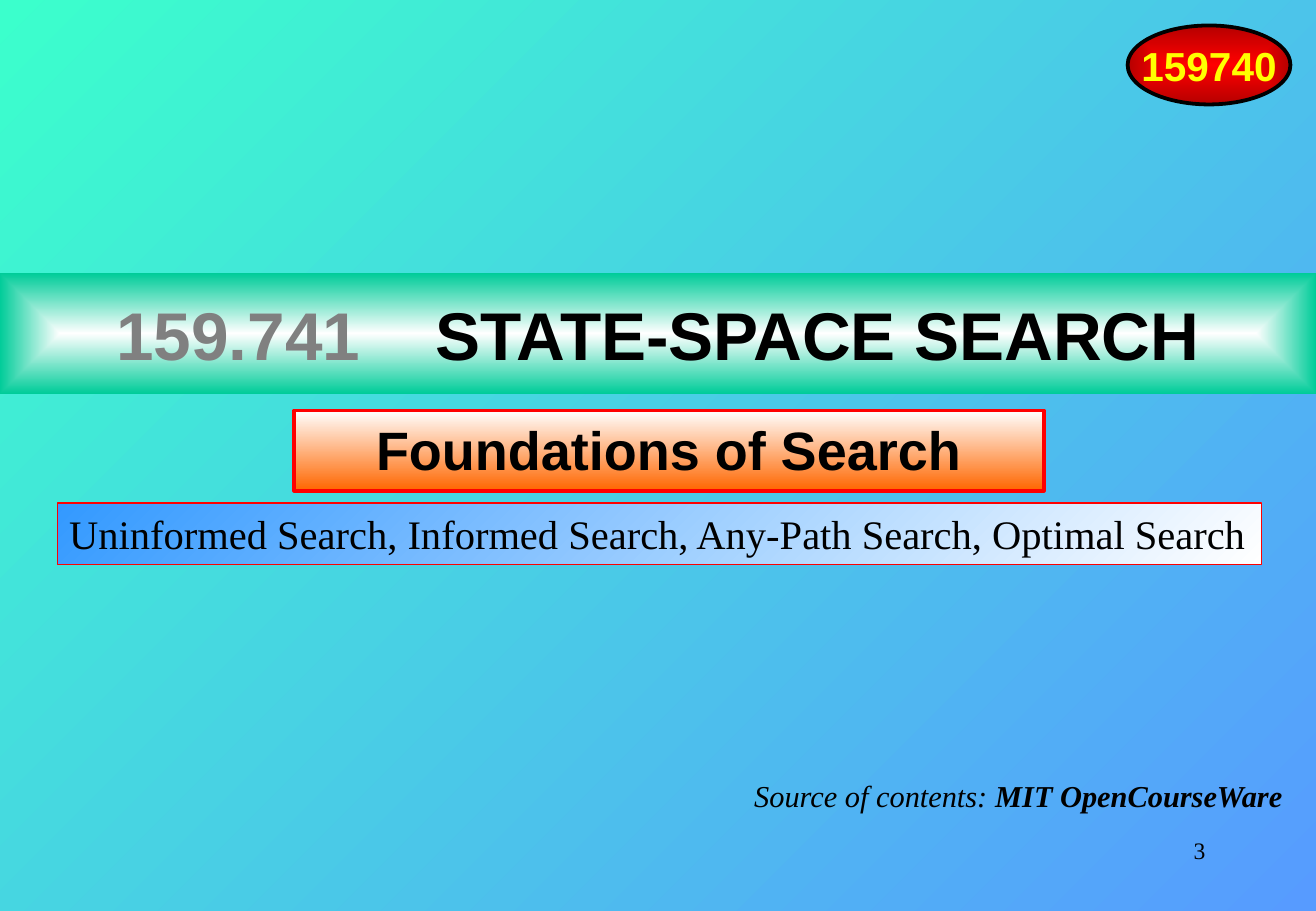
from dataclasses import dataclass
from typing import Any, Optional

from lxml.etree import SubElement
from pptx import Presentation
from pptx.dml.color import RGBColor
from pptx.enum.shapes import MSO_SHAPE
from pptx.enum.text import MSO_ANCHOR, MSO_AUTO_SIZE, PP_ALIGN
from pptx.oxml.ns import qn
from pptx.util import Inches, Pt

HUES = {
    "mint": "3BFFCC", "sky": "579BFF", "white": "FFFFFF", "green": "00CC99",
    "orange": "FF6600", "red": "FF0000", "wine": "B60000", "blue": "3399FF",
    "black": "000000", "gray": "808080", "yellow": "FFFF00",
}
SANS = "Arial"
SERIF = "Times New Roman"


@dataclass(frozen=True)
class Span:
    text: str
    hue: str = "black"
    bold: bool = False
    slant: bool = False
    space: float = 0


@dataclass(frozen=True)
class Blend:
    start: str
    end: str
    angle: Optional[int] = None


@dataclass(frozen=True)
class Panel:
    kind: Any
    place: tuple[float, float, float, float]
    spans: tuple[Span, ...]
    size: int
    font: str
    align: PP_ALIGN = PP_ALIGN.CENTER
    blend: Optional[Blend] = None
    edge: Optional[tuple[str, float]] = None
    middle: bool = False
    wrap: bool = True


def tint(name: str) -> RGBColor:
    return RGBColor.from_string(HUES[name])


def shade(fill: Any, root: Any, blend: Blend) -> None:
    fill.gradient()
    for stop, name in zip(fill.gradient_stops, (blend.start, blend.end)):
        stop.color.rgb = tint(name)
    if blend.angle is not None:
        fill.gradient_angle = 360 - blend.angle
        return
    grad = root.find(".//" + qn("a:gradFill"))
    grad.remove(grad.find(qn("a:lin")))
    route = SubElement(grad, qn("a:path"), {"path": "shape"})
    SubElement(route, qn("a:fillToRect"), {side: "50000" for side in "ltrb"})


def write(shape: Any, panel: Panel) -> None:
    frame = shape.text_frame
    frame.word_wrap = panel.wrap
    frame.auto_size = MSO_AUTO_SIZE.NONE
    frame.vertical_anchor = MSO_ANCHOR.MIDDLE if panel.middle else MSO_ANCHOR.TOP
    line = frame.paragraphs[0]
    line.alignment = panel.align
    line.space_before = Pt(0)
    for span in panel.spans:
        run = line.add_run()
        run.text = span.text
        font = run.font
        font.name, font.size = panel.font, Pt(panel.size)
        font.bold, font.italic = span.bold, span.slant
        font.color.rgb = tint(span.hue)
        if span.space:
            run._r.get_or_add_rPr().set("spc", str(round(span.space * 100)))


def draw(slide: Any, panel: Panel) -> None:
    box = [Inches(side) for side in panel.place]
    if panel.kind == "text":
        shape = slide.shapes.add_textbox(*box)
    elif panel.kind in ("title", "body"):
        shape = slide.placeholders[0 if panel.kind == "title" else 1]
        shape.left, shape.top, shape.width, shape.height = box
    else:
        shape = slide.shapes.add_shape(panel.kind, *box)
        shape.shadow.inherit = False
    if panel.blend:
        shade(shape.fill, shape._element, panel.blend)
    if panel.edge:
        shape.line.color.rgb = tint(panel.edge[0])
        shape.line.width = Pt(panel.edge[1])
    write(shape, panel)


PANELS = (
    Panel("text", (7.76, 6.83, 2.26, 0.5), (Span("3"),), 14, SERIF, PP_ALIGN.RIGHT),
    Panel("title", (0, 2.25, 10.83, 0.99),
          (Span("159.741", "gray", True), Span(" ", bold=True, space=33.4),
           Span("STATE-SPACE SEARCH", bold=True)),
          40, SANS, blend=Blend("white", "green"), middle=True),
    Panel("body", (2.42, 3.38, 6.17, 0.66), (Span("Foundations of Search", bold=True),),
          32, SANS, blend=Blend("white", "orange", 90), edge=("red", 2.25)),
    Panel(MSO_SHAPE.OVAL, (9.28, 0.21, 1.34, 0.65), (Span("159740", "yellow", True),),
          24, SANS, blend=Blend("red", "wine"), edge=("black", 2.25),
          middle=True, wrap=False),
    Panel(MSO_SHAPE.RECTANGLE, (0.47, 4.14, 9.91, 0.51),
          (Span("Uninformed Search, Informed Search, Any-Path Search, Optimal Search"),),
          24, SERIF, PP_ALIGN.LEFT, Blend("blue", "white", 45), ("red", 0.75), wrap=False),
    Panel("text", (6.09, 6.35, 4.58, 0.4),
          (Span("Source of contents: ", slant=True),
           Span("MIT OpenCourseWare", bold=True, slant=True)), 18, SERIF, wrap=False),
)


def main() -> None:
    deck = Presentation()
    deck.slide_width, deck.slide_height = Inches(10.83), Inches(7.5)
    slide = deck.slides.add_slide(deck.slide_layouts[0])
    shade(slide.background.fill, slide._element, Blend("mint", "sky", 45))
    for panel in PANELS:
        draw(slide, panel)
    deck.save("out.pptx")


if __name__ == "__main__":
    main()
